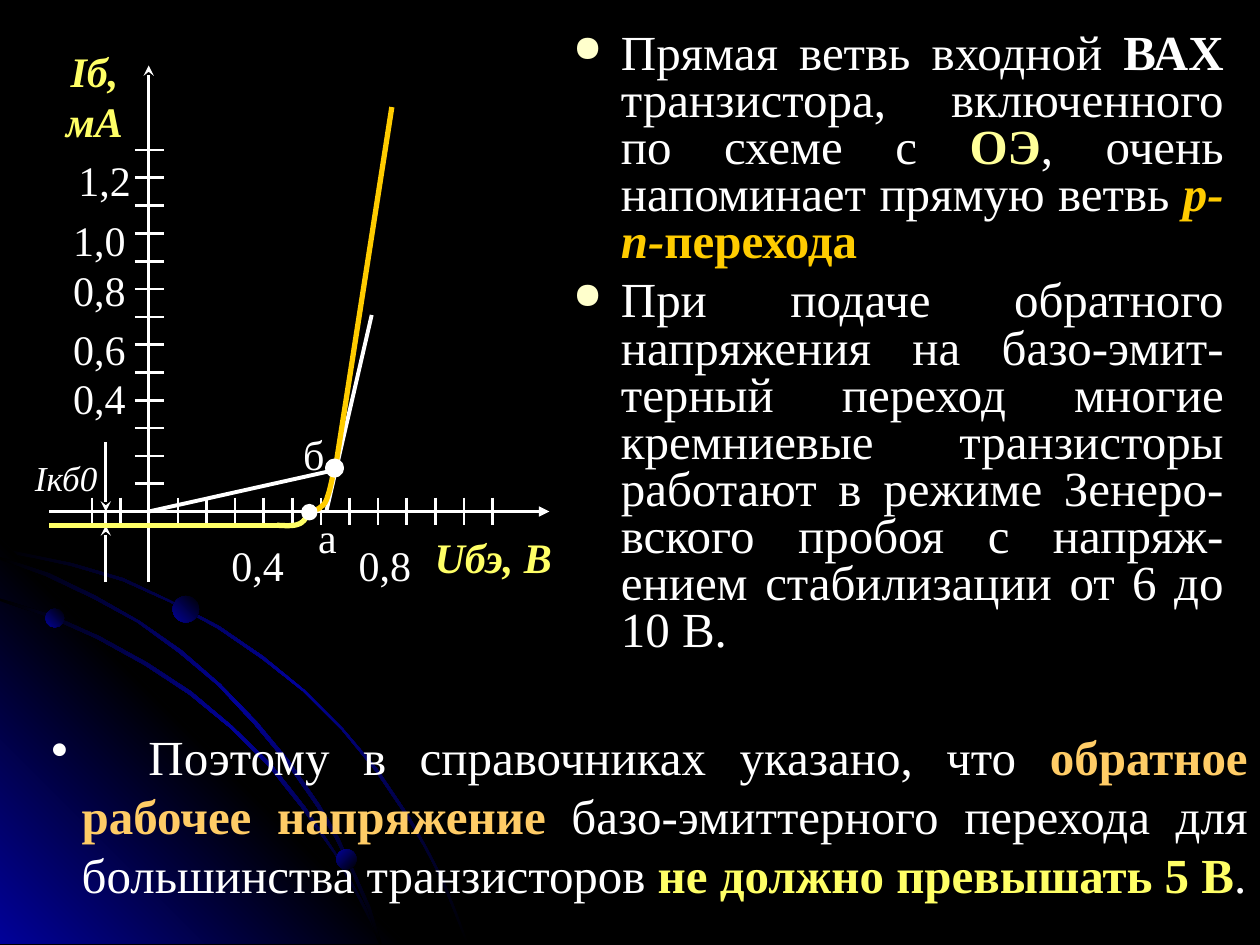
from dataclasses import dataclass

import pptx
import pptx.dml.color
import pptx.enum.shapes
import pptx.enum.text
import pptx.oxml
import pptx.oxml.ns
import pptx.util

SERIF = "Times New Roman"
WHITE, YELLOW, GOLD = "FFFFFF", "FFFF66", "FFCC00"
BLACK, NAVY = "000000", "010199"
ALIGN = pptx.enum.text.PP_ALIGN
SHAPE = pptx.enum.shapes.MSO_SHAPE
qn = pptx.oxml.ns.qn
A_NS = 'xmlns:a="http://schemas.openxmlformats.org/drawingml/2006/main"'


@dataclass
class Label:
    text: str
    x: float
    y: float
    w: float
    h: float = 0.33
    size: float = 24
    color: str = WHITE
    bold: bool = False
    italic: bool = False


@dataclass
class Piece:
    text: str
    color: str = WHITE
    bold: bool = False
    italic: bool = False


@dataclass
class Line:
    start: tuple[float, float]
    end: tuple[float, float]
    color: str = WHITE
    width: float = 1.5
    arrow: str = ""


def cm(inches: float) -> int:
    """Slide grid is in inches."""
    return pptx.util.Cm(inches * 2.54)


def rgb(value: str):
    return pptx.dml.color.RGBColor.from_string(value)


def element(xml: str):
    return pptx.oxml.parse_xml(xml.replace("/>", f" {A_NS}/>", 1) if xml.endswith("/>") else xml)


def set_line(line, color: str, width: float) -> None:
    line.color.rgb = rgb(color)
    line.width = pptx.util.Pt(width)


def set_gradient(sp, colors: list[str], angle: int) -> None:
    sp.fill.gradient()
    sp.fill.gradient_angle = 360 - angle
    stops = sp.fill._fill._gradFill.find(qn("a:gsLst"))
    for old in list(stops):
        stops.remove(old)
    for i, color in enumerate(colors):
        pos = round(100000 * i / (len(colors) - 1))
        stops.append(element(f'<a:gs {A_NS} pos="{pos}"><a:srgbClr val="{color}"/></a:gs>'))
    sp.line.fill.background()


def add_outline(s, points: list[tuple[float, float]], close: bool):
    emu = [(cm(x), cm(y)) for x, y in points]
    builder = s.shapes.build_freeform(*emu[0], scale=1.0)
    builder.add_line_segments(emu[1:], close=close)
    sp = builder.convert_to_shape()
    sp.shadow.inherit = False
    return sp


def add_curve(s, nodes: list[tuple[float, float]], color: str) -> None:
    """Chain of cubic Bezier arcs, sampled evenly."""
    points, steps = [nodes[0]], 8
    for k in range(0, len(nodes) - 1, 3):
        arc = nodes[k:k + 4]
        for t in (i / steps for i in range(1, steps + 1)):
            weights = ((1 - t) ** 3, 3 * t * (1 - t) ** 2, 3 * t * t * (1 - t), t ** 3)
            points.append(tuple(sum(w * n[d] for w, n in zip(weights, arc)) for d in (0, 1)))
    sp = add_outline(s, points, False)
    sp.fill.background()
    set_line(sp.line, color, 3)


def add_dot(s, x: float, y: float, size: float):
    sp = s.shapes.add_shape(SHAPE.OVAL, cm(x), cm(y), cm(size), cm(size))
    sp.shadow.inherit = False
    return sp


def add_line(s, ln: Line) -> None:
    c = s.shapes.add_connector(pptx.enum.shapes.MSO_CONNECTOR.STRAIGHT,
                               *map(cm, ln.start + ln.end))
    set_line(c.line, ln.color, ln.width)
    if ln.arrow:
        c.line._get_or_add_ln().append(element(f'<a:tailEnd type="{ln.arrow}"/>'))
    c._element.spPr.append(element("<a:effectLst/>"))


def format_run(r, size: float, color: str, bold: bool, italic: bool) -> None:
    r.font.name, r.font.size = SERIF, pptx.util.Pt(size)
    r.font.bold, r.font.italic = bold, italic
    r.font.color.rgb = rgb(color)


def add_frame(s, x: float, y: float, w: float, h: float):
    tf = s.shapes.add_textbox(cm(x), cm(y), cm(w), cm(h)).text_frame
    tf.word_wrap = True
    return tf


def add_label(s, lb: Label) -> None:
    tf = add_frame(s, lb.x, lb.y, lb.w, lb.h)
    tf.margin_left = tf.margin_right = tf.margin_top = tf.margin_bottom = 0
    tf.text = lb.text
    for p in tf.paragraphs:
        p.alignment = ALIGN.CENTER
        for r in p.runs:
            format_run(r, lb.size, lb.color, lb.bold, lb.italic)


def add_bullet(p, pieces: list[Piece], char: str, color: str, percent: int,
               hang: float, tab: float = 0) -> None:
    pPr = p._p.get_or_add_pPr()
    pPr.set("marL", str(cm(hang)))
    pPr.set("indent", str(-cm(hang)))
    pPr.append(element(f'<a:buClr {A_NS}><a:srgbClr val="{color}"/></a:buClr>'))
    pPr.append(element(f'<a:buSzPct val="{percent * 1000}"/>'))
    pPr.append(element(f'<a:buChar char="{char}"/>'))
    if tab:
        pPr.append(element(f'<a:tabLst {A_NS}><a:tab pos="{cm(tab)}" algn="l"/></a:tabLst>'))
    p.alignment = ALIGN.JUSTIFY
    for piece in pieces:
        r = p.add_run()
        r.text = piece.text
        format_run(r, 28, piece.color, piece.bold, piece.italic)


prs = pptx.Presentation()
prs.slide_width, prs.slide_height = cm(10), cm(7.5)
s = prs.slides.add_slide(prs.slide_layouts[6])
s.background.fill.solid()
s.background.fill.fore_color.rgb = rgb(BLACK)

# Backdrop: corner glow, three orbits and their planets
ORBITS = [
    [(0.57, 4.47), (0.28, 4.41), (0, 4.35), (0, 4.38), (0.28, 4.43), (0.56, 4.49), (0.97, 4.61),
     (1.35, 4.78), (1.73, 4.99), (2.08, 5.23), (2.41, 5.49), (2.71, 5.79), (2.98, 6.12),
     (3.23, 6.49), (3.37, 6.73), (3.5, 6.98), (3.6, 7.23), (3.7, 7.49), (3.72, 7.49),
     (3.62, 7.23), (3.52, 6.98), (3.39, 6.73), (3.25, 6.48), (3, 6.11), (2.72, 5.78),
     (2.42, 5.48), (2.09, 5.21), (1.74, 4.97), (1.36, 4.77), (0.98, 4.59)],
    [(2.85, 7.14), (2.94, 7.32), (3.01, 7.49), (3.03, 7.49), (2.96, 7.3), (2.86, 7.12),
     (2.66, 6.76), (2.42, 6.4), (2.15, 6.06), (1.84, 5.76), (1.52, 5.49), (1.17, 5.26),
     (0.79, 5.05), (0.41, 4.88), (0, 4.75), (0, 4.77), (0.39, 4.9), (0.77, 5.07), (1.15, 5.28),
     (1.5, 5.51), (1.83, 5.78), (2.13, 6.08), (2.4, 6.42), (2.65, 6.77)],
    [(0, 4.42), (0, 4.44), (0.36, 4.57), (0.74, 4.75), (1.09, 4.94), (1.42, 5.18), (1.73, 5.44),
     (2.02, 5.75), (2.27, 6.05), (2.52, 6.41), (2.67, 6.67), (2.8, 6.94), (2.92, 7.22),
     (3.01, 7.49), (3.03, 7.49), (2.94, 7.2), (2.82, 6.93), (2.69, 6.65), (2.54, 6.39),
     (2.29, 6.03), (2.04, 5.73), (1.75, 5.43), (1.44, 5.16), (1.11, 4.93), (0.76, 4.73),
     (0.39, 4.55)],
]
glow = [(3.22, 7.49), (0, 7.49), (0, 4.27)]
orbit_style = ([BLACK, NAVY, BLACK], 225)
for points, style in [(ORBITS[0], orbit_style), (glow, ([NAVY, BLACK, NAVY], 135)),
                      (ORBITS[1], orbit_style), (ORBITS[2], orbit_style)]:
    set_gradient(add_outline(s, points, True), *style)
for x, y, size, angle in [(0.36, 4.83, 0.15, 135), (2.67, 6.74, 0.16, 225), (1.37, 4.73, 0.21, 135)]:
    set_gradient(add_dot(s, x, y, size), [BLACK, NAVY], angle)

# Right-hand text
tf = add_frame(s, 4.45, 0.21, 5.36, 5.51)
BODY = [
    [Piece("Прямая ветвь входной "), Piece("ВАХ", bold=True),
     Piece(" транзистора, включенного по схеме с "), Piece("ОЭ", "FFFF99", True),
     Piece(", очень напоминает прямую ветвь "), Piece("p-n-", GOLD, True, True),
     Piece("перехода", GOLD, True)],
    [Piece("При подаче обратного напряжения на базо-эмит-терный переход многие кремниевые "
           "транзисторы работают в режиме Зенеро-вского пробоя с напряж-ением стабилизации "
           "от 6 до 10 В.")],
]
for i, pieces in enumerate(BODY):
    p = tf.add_paragraph() if i else tf.paragraphs[0]
    add_bullet(p, pieces, "●", "FFFFCC", 75, 0.38)
    p.line_spacing = 0.8
    if i:
        p.space_before = pptx.util.Pt(7)

# Axes, ticks and the linear approximation
AXIS_X, AXIS_Y = 1.18, 4.06
lines = [Line((AXIS_X, AXIS_Y), (2.66, 3.73), width=2.25),
         Line((2.59, AXIS_Y), (2.95, 2.5), width=2.25),
         Line((AXIS_X, 4.62), (AXIS_X, 0.52), arrow="stealth"),
         Line((0.39, AXIS_Y), (4.36, AXIS_Y), arrow="triangle")]
for y in (1.19 + 2.65 * i / 12 for i in range(13)):
    lines.append(Line((1.07, y), (1.3, y)))
for x in (0.73 + 3.18 * i / 14 for i in range(15) if i != 2):
    lines.append(Line((x, 3.95), (x, 4.17)))

# Reverse current marker, then the straight parts of the characteristic
lines += [Line((0.84, 3.51), (0.84, AXIS_Y), arrow="stealth"),
          Line((0.84, 4.62), (0.84, 4.17), arrow="stealth"),
          Line((0.84, AXIS_Y), (0.84, 4.17)),
          Line((0.39, 4.17), (2.2, 4.17), YELLOW, 3),
          Line((2.66, 3.73), (3.11, 0.85), GOLD, 3)]
for ln in lines:
    add_line(s, ln)
add_curve(s, [(2.46, 4.07), (2.44, 4.09), (2.41, 4.15), (2.37, 4.16), (2.33, 4.18),
              (2.24, 4.17), (2.2, 4.17)], YELLOW)
add_curve(s, [(2.47, 4.06), (2.48, 4.06), (2.49, 4.05), (2.5, 4.05), (2.52, 4.04), (2.53, 4.04),
              (2.55, 4.02), (2.57, 4.01), (2.59, 3.98), (2.6, 3.94), (2.62, 3.89),
              (2.64, 3.78), (2.65, 3.73)], GOLD)
for x, y, width in [(2.4, 4.01, 1.5), (2.6, 3.66, 3)]:
    dot = add_dot(s, x, y, 0.11)
    dot.fill.solid()
    dot.fill.fore_color.rgb = rgb(WHITE)
    set_line(dot.line, WHITE, width)

# Graph labels
for lb in [Label("Iб,\nмА", 0.43, 0.36, 0.64, 0.66, color=YELLOW, bold=True, italic=True),
           Label("1,2", 0.59, 1.23, 0.48), Label("1,0", 0.51, 1.7, 0.56),
           Label("0,8", 0.51, 2.1, 0.56), Label("0,6", 0.51, 2.57, 0.56),
           Label("0,4", 0.51, 2.96, 0.56), Label("0,4", 1.77, 4.28, 0.55),
           Label("0,8", 2.77, 4.28, 0.57), Label("а", 2.43, 4.06, 0.34),
           Label("б", 2.32, 3.4, 0.34), Label("Iкб0", 0.2, 3.62, 0.65, size=20, italic=True),
           Label("Uбэ, В", 3.38, 4.22, 1.07, color=YELLOW, bold=True, italic=True)]:
    add_label(s, lb)

# Conclusion
tf = add_frame(s, 0.31, 5.72, 9.69, 1.5)
add_bullet(tf.paragraphs[0], [
    Piece("\tПоэтому в справочниках указано, что "),
    Piece("обратное рабочее напряжение", "FFCC66", True),
    Piece(" базо-эмиттерного перехода для большинства транзисторов "),
    Piece("не должно превышать 5 В", YELLOW, True), Piece(".")], "•", WHITE, 100, 0.24, 0.77)

prs.save("out.pptx")
